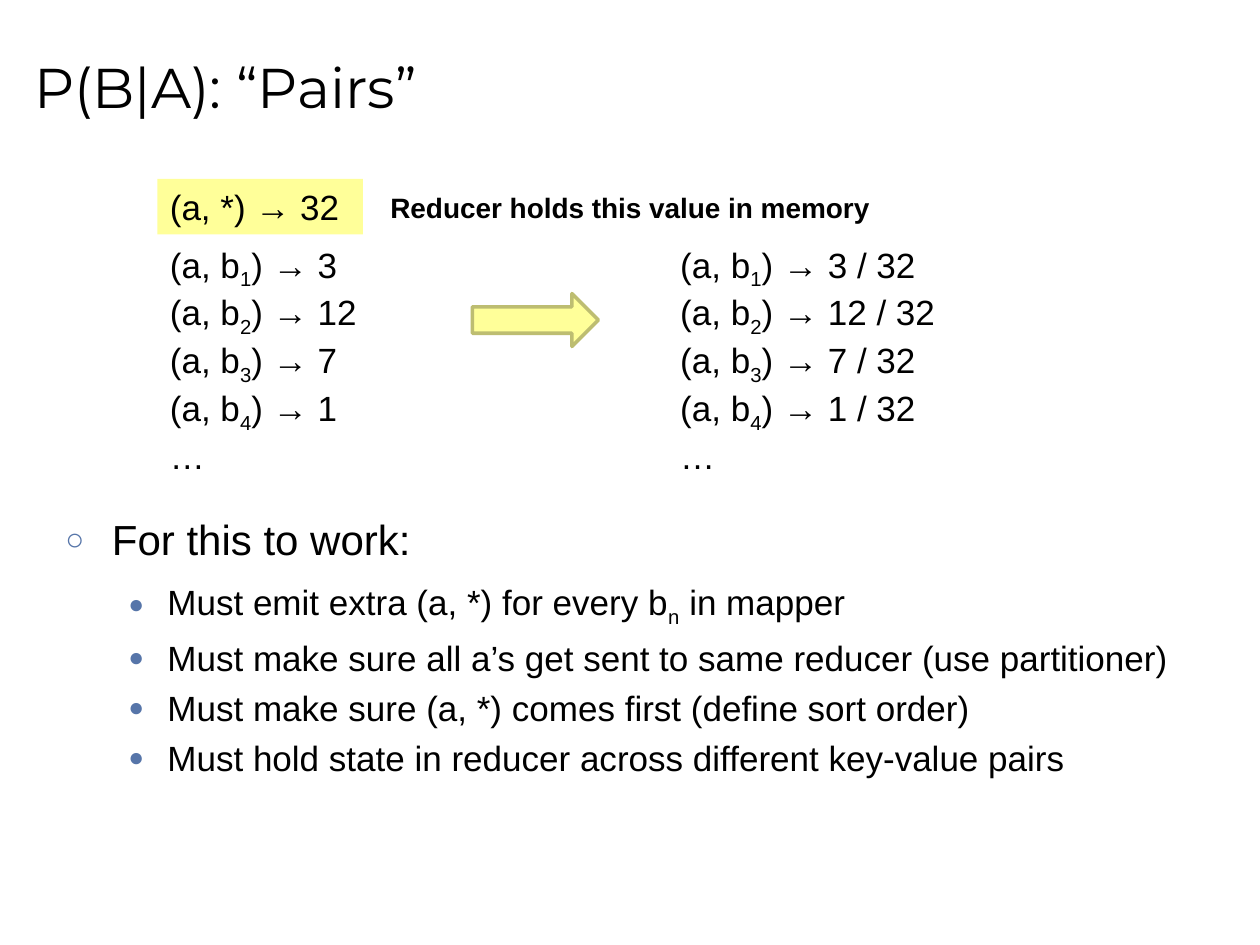
from lxml.etree import SubElement
from pptx import Presentation
from pptx.dml.color import RGBColor
from pptx.enum.shapes import MSO_SHAPE as Shape
from pptx.enum.text import MSO_ANCHOR as Anchor, MSO_AUTO_SIZE as AutoSize, PP_ALIGN as Align
from pptx.oxml.ns import qn
from pptx.util import Inches, Pt

BLACK, YELLOW, OLIVE, BLUE = "000000", "FFFF99", "BDBD71", "5675A9"
LEFT_COLUMN, RIGHT_COLUMN = 1.25, 5.3
TOTAL_ROW, COUNTS_ROW, NOTES_ROW = 1.42, 1.88, 4.03

COUNTS = [3, 12, 7, 1]
TOTAL = 32
REQUIREMENTS = [
    "Must emit extra (a, *) for every b_n_ in mapper",
    "Must make sure all a’s get sent to same reducer (use partitioner)",
    "Must make sure (a, *) comes first (define sort order)",
    "Must hold state in reducer across different key-value pairs",
]


def color(hex_value):
    return RGBColor.from_string(hex_value)


def inches(*lengths):
    return [Inches(length) for length in lengths]


def write(paragraph, text, size, font="Arial", bold=False):
    """Fill a paragraph; parts between underscores become subscripts."""
    paragraph.alignment = Align.LEFT
    for index, part in enumerate(text.split("_")):
        run = paragraph.add_run()
        run.text = part
        run.font.name, run.font.size, run.font.bold = font, Pt(size), bold
        run.font.color.rgb = color(BLACK)
        if index % 2:
            run._r.get_or_add_rPr().set("baseline", "-25000")


def write_lines(frame, lines, size, bold=False):
    frame.word_wrap = False
    frame.auto_size = AutoSize.SHAPE_TO_FIT_TEXT
    frame.vertical_anchor = Anchor.TOP
    for index, line in enumerate(lines):
        paragraph = frame.add_paragraph() if index else frame.paragraphs[0]
        write(paragraph, line, size, bold=bold)


def add_lines(slide, box, lines, size=20, bold=False):
    write_lines(slide.shapes.add_textbox(*inches(*box)).text_frame, lines, size, bold)


def add_yellow_shape(slide, kind, box):
    shape = slide.shapes.add_shape(kind, *inches(*box))
    shape.shadow.inherit = False
    shape.fill.solid()
    shape.fill.fore_color.rgb = color(YELLOW)
    shape.line.fill.background()
    return shape


def add_bullet(paragraph, mark, margin, indent):
    properties = paragraph._p.get_or_add_pPr()
    properties.set("marL", str(Inches(margin)))
    properties.set("indent", str(Inches(-indent)))
    bullet_color = SubElement(properties, qn("a:buClr"))
    SubElement(bullet_color, qn("a:srgbClr"), val=BLUE)
    SubElement(properties, qn("a:buSzPct"), val="75000")
    SubElement(properties, qn("a:buFont"), typeface="Arial")
    SubElement(properties, qn("a:buChar"), char=mark)


def add_title(slide, text):
    title = slide.shapes.title
    title.left, title.top, title.width, title.height = inches(0.17, 0.12, 9.5, 1.12)
    title.text_frame.vertical_anchor = Anchor.MIDDLE
    write(title.text_frame.paragraphs[0], text, 32, "Montserrat")


def add_requirements(slide, heading, requirements):
    frame = slide.shapes.add_textbox(*inches(0.42, NOTES_ROW, 9.25, 2.72)).text_frame
    frame.word_wrap = True
    first = frame.paragraphs[0]
    first.space_after = Pt(6.9)
    add_bullet(first, "○", 0.37, 0.37)
    write(first, heading, 24)
    for requirement in requirements:
        paragraph = frame.add_paragraph()
        paragraph.level = 1
        paragraph.space_before = paragraph.space_after = Pt(2.3)
        add_bullet(paragraph, "●", 0.81, 0.31)
        write(paragraph, requirement, 20)


def main():
    deck = Presentation()
    deck.slide_width, deck.slide_height = inches(10, 7.5)
    slide = deck.slides.add_slide(deck.slide_layouts[5])
    add_title(slide, "P(B|A): “Pairs”")
    add_requirements(slide, "For this to work:", REQUIREMENTS)

    pairs = [f"(a, b_{n}_) → {count}" for n, count in enumerate(COUNTS, 1)]
    shares = [f"{pair} / {TOTAL}" for pair in pairs]
    add_lines(slide, (LEFT_COLUMN, COUNTS_ROW, 1.78, 1.78), pairs + ["…"])
    arrow = add_yellow_shape(slide, Shape.RIGHT_ARROW, (3.75, 2.33, 1, 0.42))
    arrow.line.color.rgb = color(OLIVE)
    arrow.line.width = Pt(2)
    total = add_yellow_shape(slide, Shape.RECTANGLE, (LEFT_COLUMN, TOTAL_ROW, 1.63, 0.44))
    write_lines(total.text_frame, [f"(a, *) → {TOTAL}"], 20)
    add_lines(slide, (RIGHT_COLUMN, COUNTS_ROW, 2.25, 1.78), shares + ["…"])
    add_lines(slide, (3, 1.46, 4.06, 0.37), ["Reducer holds this value in memory"], 16, True)
    deck.save("out.pptx")


if __name__ == "__main__":
    main()
